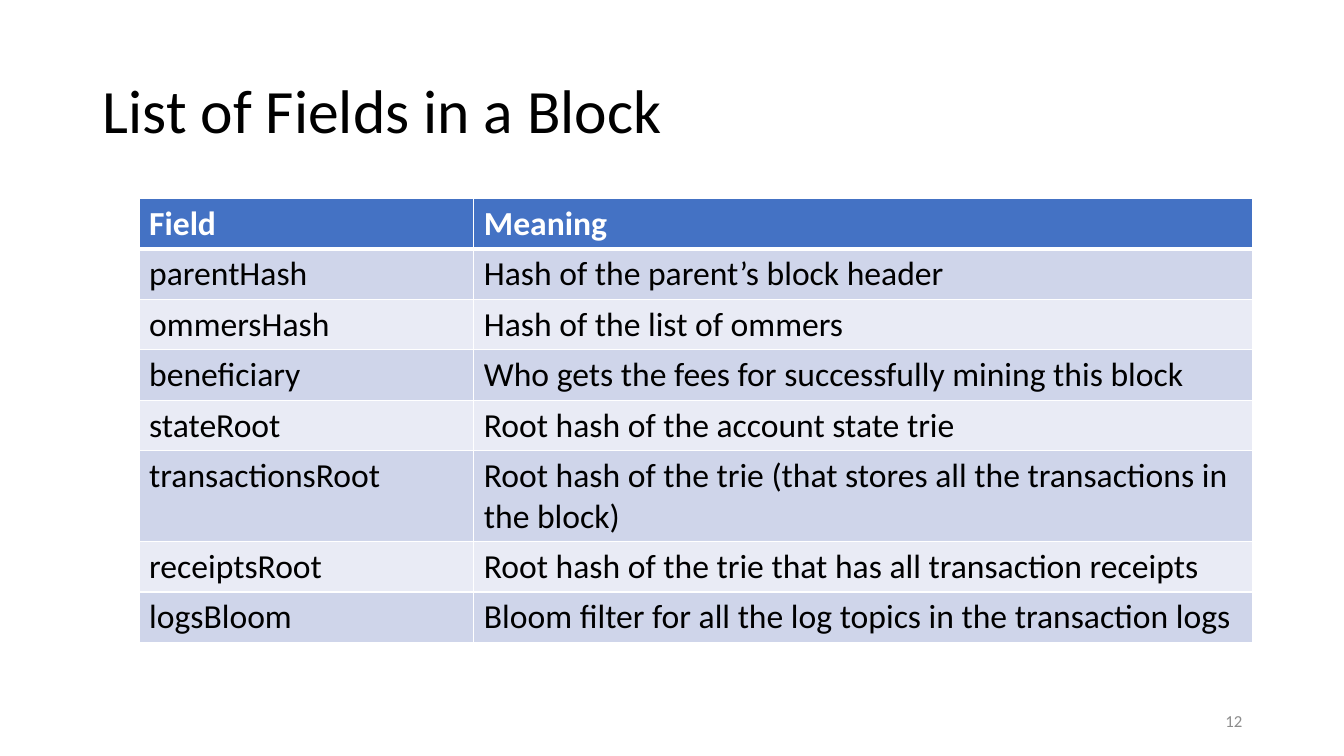
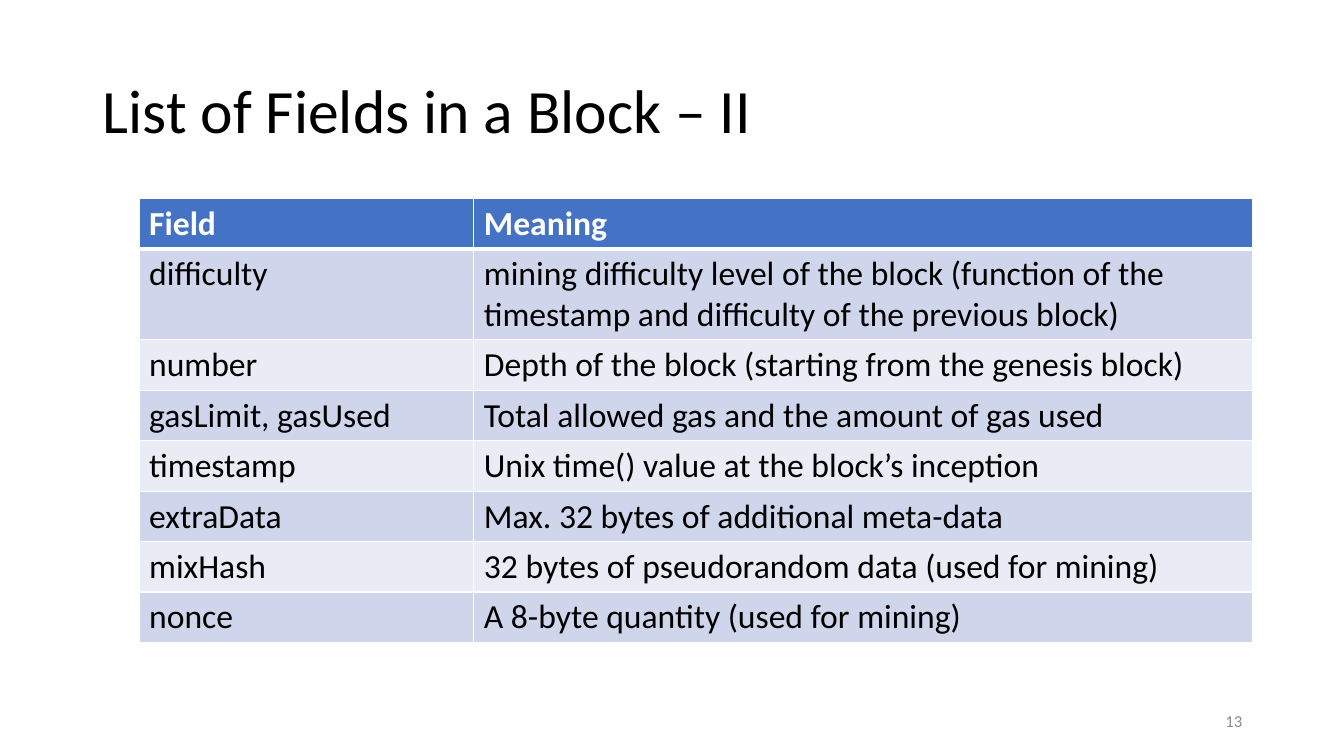
from dataclasses import dataclass

from lxml import etree
from pptx import Presentation
from pptx.dml.color import RGBColor
from pptx.enum.text import MSO_ANCHOR, MSO_AUTO_SIZE, PP_ALIGN
from pptx.oxml.ns import qn
from pptx.util import Inches, Pt

LEFT, RIGHT = PP_ALIGN.LEFT, PP_ALIGN.RIGHT
MIDDLE = MSO_ANCHOR.MIDDLE
NO_AUTOFIT = MSO_AUTO_SIZE.NONE
TITLE_ONLY = 5


@dataclass(frozen=True)
class Theme:
    font: str = "Calibri"
    text: str = "000000"
    muted: str = "8C8C8C"
    white: str = "FFFFFF"
    header: str = "4472C4"
    bands: tuple = ("CFD5EA", "E9EBF5")
    title_size: int = 44
    table_size: int = 24
    number_size: int = 12
    thin_rule: int = 1
    header_rule: int = 3


THEME = Theme()

TITLE_BOX = (0.92, 0.4, 11.5, 1.45)
NUMBER_BOX = (9.42, 6.95, 3, 0.4)
TABLE_LEFT, TABLE_TOP = 1.38, 1.97
COLUMN_WIDTHS = (3.32, 7.72)
ROW_HEIGHT = 0.41

FIRST_NUMBER = 12
HEADINGS = ("Field", "Meaning")
SLIDES = [
    ("List of Fields in a Block", [
        ("parentHash", "Hash of the parent’s block header"),
        ("ommersHash", "Hash of the list of ommers"),
        ("beneficiary", "Who gets the fees for successfully mining this block"),
        ("stateRoot", "Root hash of the account state trie"),
        ("transactionsRoot",
         "Root hash of the trie (that stores all the transactions in the block)"),
        ("receiptsRoot", "Root hash of the trie that has all transaction receipts"),
        ("logsBloom", "Bloom filter for all the log topics in the transaction logs"),
    ]),
    ("List of Fields in a Block – II", [
        ("difficulty",
         "mining difficulty level of the block "
         "(function of the timestamp and difficulty of the previous block)"),
        ("number", "Depth of the block (starting from the genesis block)"),
        ("gasLimit, gasUsed", "Total allowed gas and the amount of gas used"),
        ("timestamp", "Unix time() value at the block’s inception"),
        ("extraData", "Max. 32 bytes of additional meta-data"),
        ("mixHash", "32 bytes of pseudorandom data (used for mining)"),
        ("nonce", "A 8-byte quantity (used for mining)"),
    ]),
]


def write_text(frame, text, *, size, color=THEME.text, bold=False,
               align=LEFT, line_spacing=None):
    frame.word_wrap = True
    para = frame.paragraphs[0]
    para.alignment = align
    para.line_spacing = line_spacing
    span = para.add_run()
    span.text = text
    span.font.name = THEME.font
    span.font.size = Pt(size)
    span.font.bold = bold
    span.font.color.rgb = RGBColor.from_string(color)


def add_title(slide, text):
    title = slide.shapes.title
    title.left, title.top, title.width, title.height = map(Inches, TITLE_BOX)
    frame = title.text_frame
    frame.auto_size = NO_AUTOFIT
    frame.vertical_anchor = MIDDLE
    write_text(frame, text, size=THEME.title_size, line_spacing=0.9)


def add_slide_number(slide, number):
    box = slide.shapes.add_textbox(*map(Inches, NUMBER_BOX))
    box.text_frame.vertical_anchor = MIDDLE
    write_text(box.text_frame, str(number), size=THEME.number_size,
               color=THEME.muted, align=RIGHT)


def set_borders(cell, *, top, bottom):
    """Rule all four sides in white; the lines must precede the cell's fill."""
    properties = cell._tc.get_or_add_tcPr()
    widths = {"a:lnL": THEME.thin_rule, "a:lnR": THEME.thin_rule,
              "a:lnT": top, "a:lnB": bottom}
    for position, (tag, width) in enumerate(widths.items()):
        line = etree.Element(qn(tag), w=str(Pt(width)))
        fill = etree.SubElement(line, qn("a:solidFill"))
        etree.SubElement(fill, qn("a:srgbClr"), val=THEME.white)
        properties.insert(position, line)


def format_cell(cell, text, row_index):
    is_header = row_index == 0
    fill = THEME.header if is_header else THEME.bands[(row_index - 1) % 2]
    cell.fill.solid()
    cell.fill.fore_color.rgb = RGBColor.from_string(fill)
    set_borders(cell,
                top=THEME.header_rule if row_index == 1 else THEME.thin_rule,
                bottom=THEME.header_rule if is_header else THEME.thin_rule)
    write_text(cell.text_frame, text, size=THEME.table_size, bold=is_header,
               color=THEME.white if is_header else THEME.text)


def add_field_table(slide, fields):
    rows = [HEADINGS, *fields]
    table = slide.shapes.add_table(
        len(rows), len(HEADINGS), Inches(TABLE_LEFT), Inches(TABLE_TOP),
        Inches(sum(COLUMN_WIDTHS)), Inches(ROW_HEIGHT * len(rows))).table
    for column, width in zip(table.columns, COLUMN_WIDTHS):
        column.width = Inches(width)
    for row_index, texts in enumerate(rows):
        table.rows[row_index].height = Inches(ROW_HEIGHT)
        for column_index, text in enumerate(texts):
            format_cell(table.cell(row_index, column_index), text, row_index)


def main():
    deck = Presentation()
    deck.slide_width, deck.slide_height = Inches(13.33), Inches(7.5)
    for number, (title, fields) in enumerate(SLIDES, start=FIRST_NUMBER):
        slide = deck.slides.add_slide(deck.slide_layouts[TITLE_ONLY])
        add_title(slide, title)
        add_slide_number(slide, number)
        add_field_table(slide, fields)
    deck.save("out.pptx")


if __name__ == "__main__":
    main()
